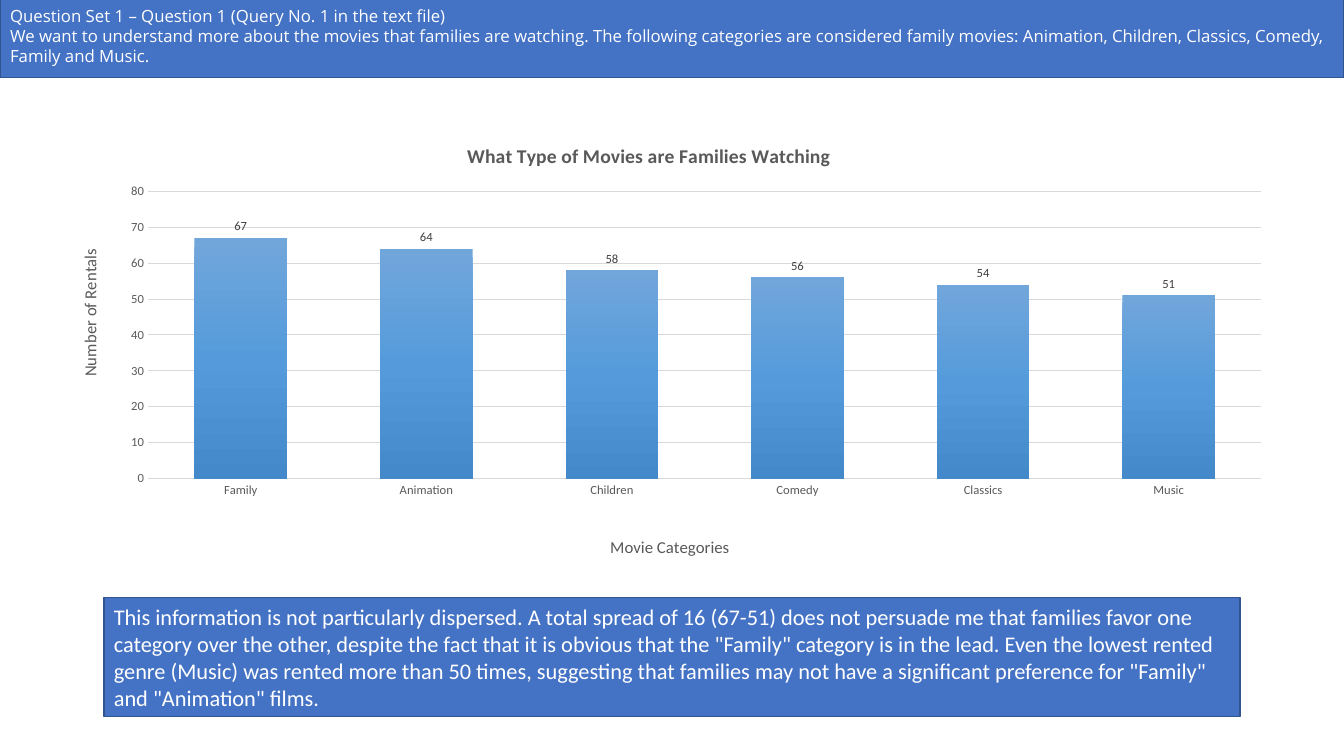
from copy import deepcopy

from lxml import etree
from pptx import Presentation
from pptx import util as u
from pptx.chart import data as cd
from pptx.dml.color import RGBColor
from pptx.enum import chart as ch, shapes, text
from pptx.oxml import ns

# Content
HEAD = [
    "Question Set 1 – Question 1 (Query No. 1 in the text file)",
    "We want to understand more about the movies that families are watching. "
    "The following categories are considered family movies: Animation, "
    "Children, Classics, Comedy, Family and Music.",
]
NOTE = [
    "This information is not particularly dispersed. A total spread of 16 "
    "(67-51) does not persuade me that families favor one category over the "
    "other, despite the fact that it is obvious that the \"Family\" category "
    "is in the lead. Even the lowest rented genre (Music) was rented more "
    "than 50 times, suggesting that families may not have a significant "
    "preference for \"Family\" and \"Animation\" films.",
]
RENTALS = {"Family": 67, "Animation": 64, "Children": 58,
           "Comedy": 56, "Classics": 54, "Music": 51}
TITLE = "What Type of Movies are Families Watching"
X_NAME = "Movie Categories"
Y_NAME = "Number of Rentals"

# Look
BLUE = RGBColor(0x44, 0x72, 0xC4)
EDGE = RGBColor(0x32, 0x54, 0x91)
WHITE = RGBColor(0xFF, 0xFF, 0xFF)
GREY = RGBColor(0x59, 0x59, 0x59)
DARK = RGBColor(0x40, 0x40, 0x40)
PALE = RGBColor(0xD9, 0xD9, 0xD9)
SHADES = [(0, RGBColor(0x71, 0xA6, 0xDB)),
          (0.5, RGBColor(0x55, 0x9B, 0xDB)),
          (1, RGBColor(0x44, 0x8A, 0xCA))]

# Places in cm: left, top, width, height
WIDE, HIGH = 33.87, 19.05
HEAD_AT = (0, 0, WIDE, 1.8)
PLOT_AT = (1.47, 3.07, 30.94, 11.1)
NOTE_AT = (2.62, 15.06, 28.63, 3)


def box(at):
    return [u.Cm(n) for n in at]


def style(font, size, color, bold=False, name="Calibri"):
    font.size, font.bold, font.name = u.Pt(size), bold, name
    font.color.rgb = color


def panel(shape, lines, size, name):
    """Fill a blue box with left-aligned white text."""
    shape.shadow.inherit = False
    shape.fill.solid()
    shape.fill.fore_color.rgb = BLUE
    shape.line.color.rgb = EDGE
    shape.line.width = u.Pt(1)
    frame = shape.text_frame
    frame.text = "\n".join(lines)
    frame.word_wrap = True
    frame.auto_size = text.MSO_AUTO_SIZE.SHAPE_TO_FIT_TEXT
    frame.vertical_anchor = text.MSO_ANCHOR.MIDDLE
    for para in frame.paragraphs:
        para.alignment = text.PP_ALIGN.LEFT
        for run in para.runs:
            style(run.font, size, WHITE, name=name)


def place(part, spot, index, inner=False):
    """Pin a chart part at fractions of the chart's size."""
    for old in part.findall(ns.qn("c:layout")):
        part.remove(old)
    layout = etree.Element(ns.qn("c:layout"))
    manual = etree.SubElement(layout, ns.qn("c:manualLayout"))
    rows = [("layoutTarget", "inner")] if inner else []
    rows += [("xMode", "edge"), ("yMode", "edge"), *zip("xywh", spot)]
    for tag, val in rows:
        etree.SubElement(manual, ns.qn("c:" + tag)).set("val", str(val))
    part.insert(index, layout)


def label(title, words, size, spot, bold=False):
    title.text_frame.text = words
    style(title.text_frame.paragraphs[0].runs[0].font, size, GREY, bold)
    place(title._element, spot, 1)


deck = Presentation()
deck.slide_width, deck.slide_height = u.Cm(WIDE), u.Cm(HIGH)
slide = deck.slides.add_slide(deck.slide_layouts[5])

# Question header
head = slide.shapes.title
head.left, head.top, head.width, head.height = box(HEAD_AT)
panel(head, HEAD, 12, "Open Sans")

# Rentals chart
data = cd.CategoryChartData()
data.categories = list(RENTALS)
data.add_series("Series 1", list(RENTALS.values()))
chart = slide.shapes.add_chart(
    ch.XL_CHART_TYPE.COLUMN_CLUSTERED, *box(PLOT_AT), data).chart
chart.has_legend = False
style(chart.font, 10, GREY)
label(chart.chart_title, TITLE, 14, (0.33, 0.04), True)
chart.chart_title.include_in_layout = False
place(chart._chartSpace.find(".//" + ns.qn("c:plotArea")),
      (0.073, 0.159, 0.907, 0.658), 0, True)

# Axes
x_axis, y_axis = chart.category_axis, chart.value_axis
for axis in (x_axis, y_axis):
    axis.major_tick_mark = axis.minor_tick_mark = ch.XL_TICK_MARK.NONE
    style(axis.tick_labels.font, 9, GREY)
label(x_axis.axis_title, X_NAME, 12, (0.447, 0.94))
label(y_axis.axis_title, Y_NAME, 12, (0.014, 0.286))
turn = y_axis.axis_title._element.find(".//" + ns.qn("a:bodyPr"))
turn.set("rot", "-5400000")
turn.set("vert", "horz")
x_axis.format.line.color.rgb = PALE
x_axis.format.line.width = u.Pt(1)
y_axis.format.line.fill.background()
y_axis.minimum_scale, y_axis.maximum_scale, y_axis.major_unit = 0, 80, 10
grid = y_axis.major_gridlines.format.line
grid.color.rgb, grid.width = PALE, u.Pt(0.75)

# Columns with a three-step gradient and value labels
plot = chart.plots[0]
plot.gap_width, plot.overlap, plot.vary_by_categories = 100, -24, False
fill = plot.series[0].format.fill
fill.gradient()
fill.gradient_angle = 270
stops = plot.series[0]._element.find(".//" + ns.qn("a:gsLst"))
stops.append(deepcopy(stops[-1]))
for stop, (pos, shade) in zip(fill.gradient_stops, SHADES):
    stop.position, stop.color.rgb = pos, shade
plot.has_data_labels = True
marks = plot.data_labels
marks.show_value = True
marks.position = ch.XL_LABEL_POSITION.OUTSIDE_END
style(marks.font, 9, DARK)

# Conclusion
note = slide.shapes.add_shape(shapes.MSO_SHAPE.RECTANGLE, *box(NOTE_AT))
panel(note, NOTE, 16, "Calibri")

deck.save("out.pptx")
